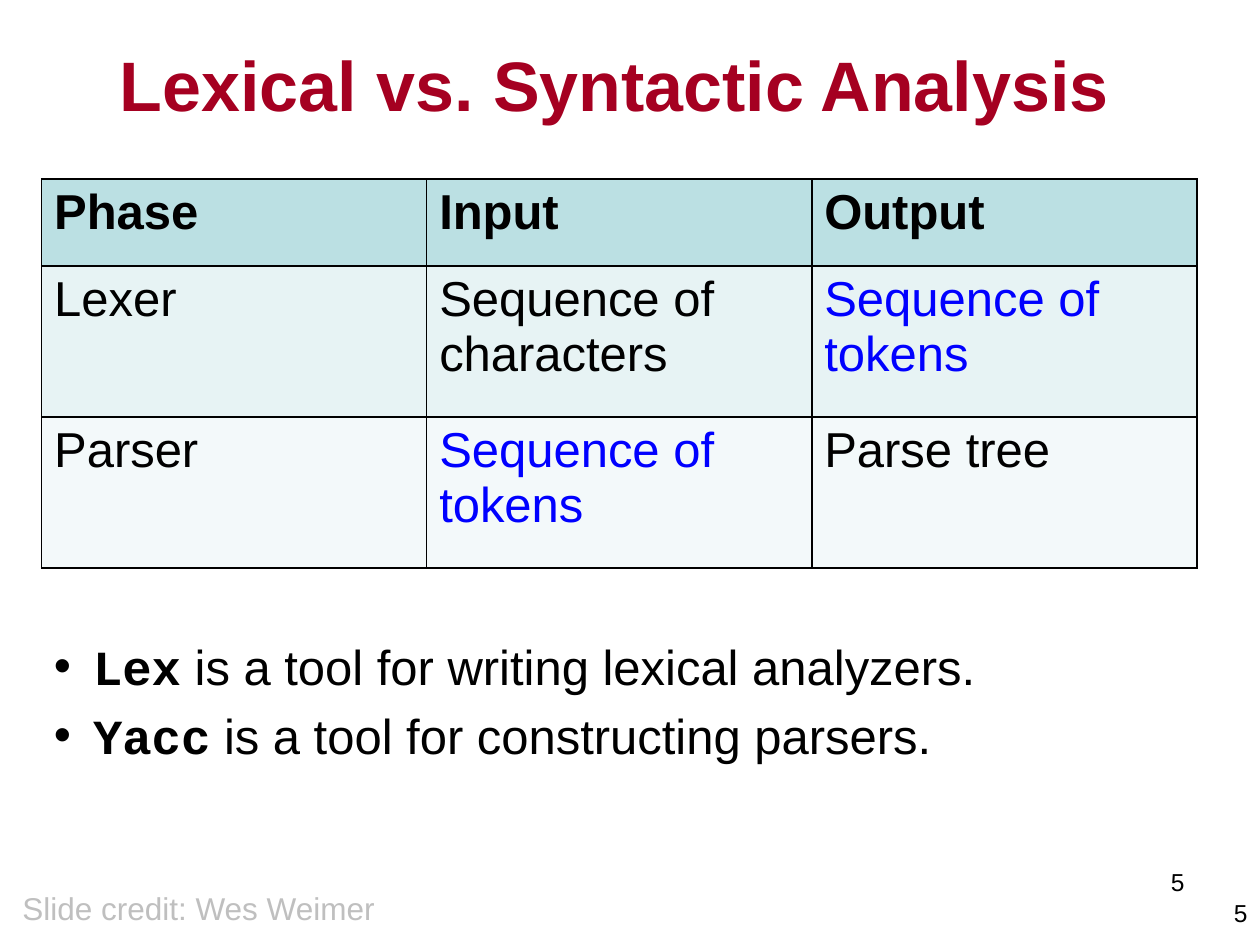
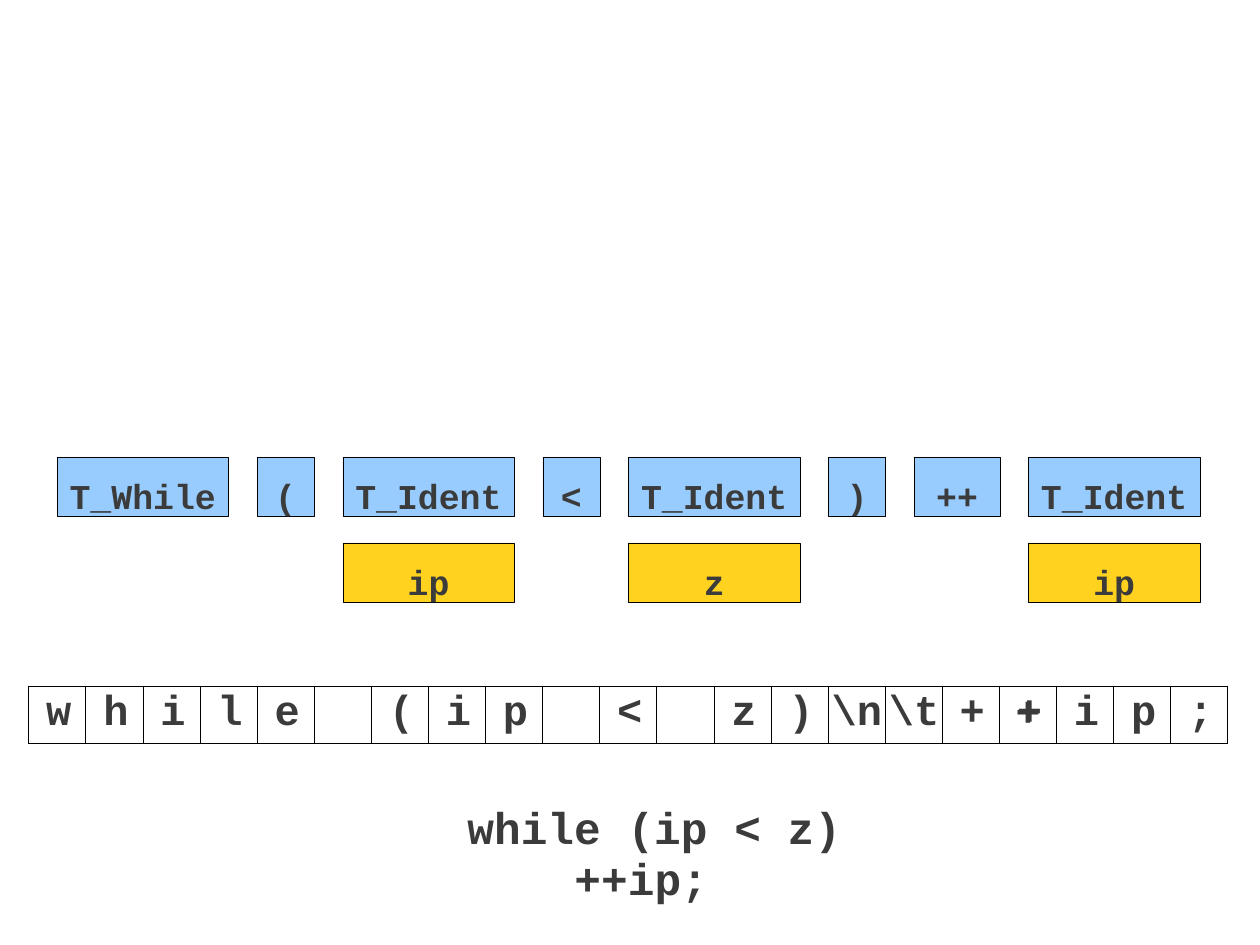
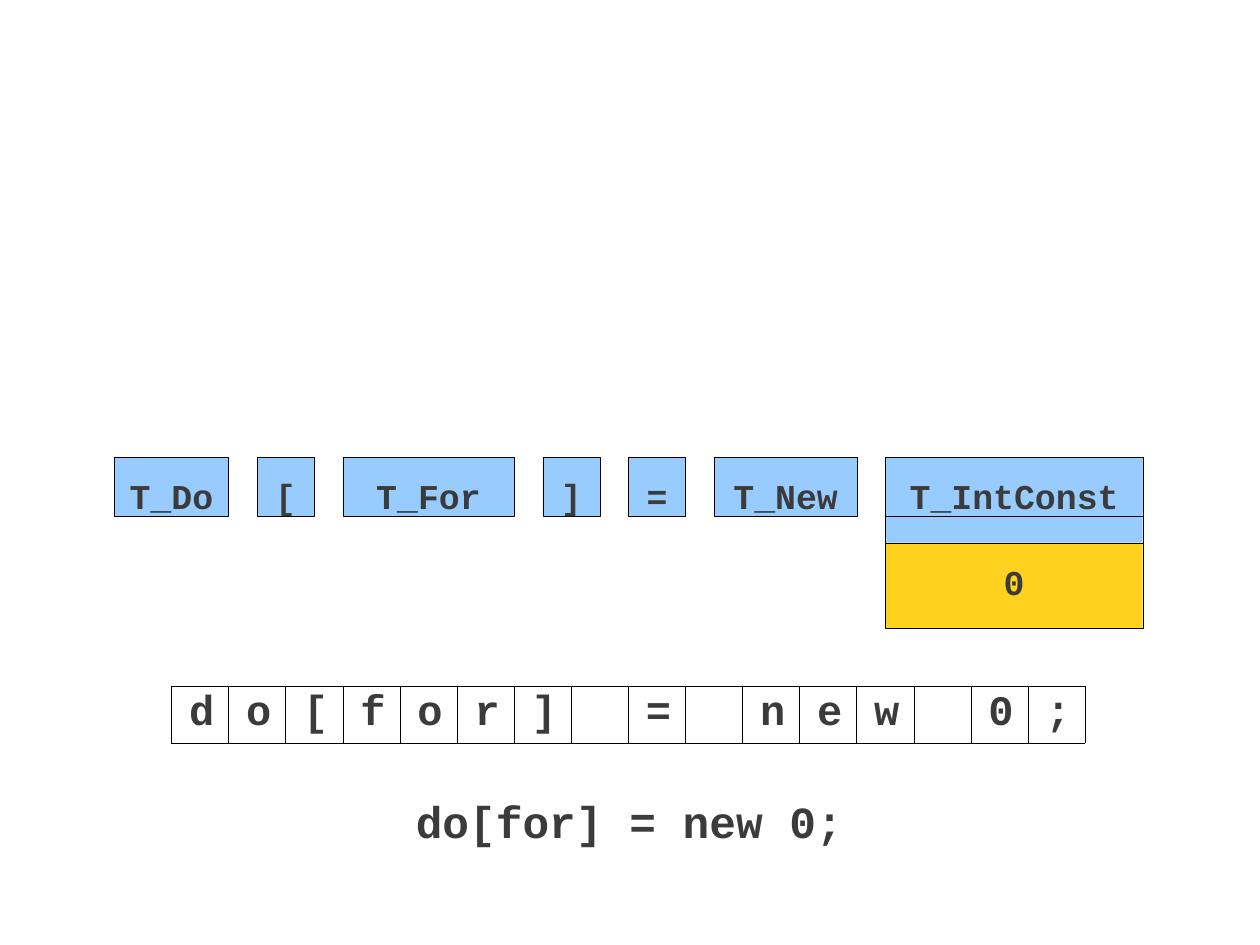
from dataclasses import dataclass

from lxml.etree import SubElement
from pptx import Presentation
from pptx.dml.color import RGBColor
from pptx.enum.shapes import MSO_SHAPE
from pptx.enum.text import MSO_ANCHOR, MSO_AUTO_SIZE, PP_ALIGN
from pptx.oxml.ns import qn
from pptx.util import Inches, Pt


@dataclass(frozen=True)
class Theme:
    sans: str = "Arial"
    mono: str = "Courier New"
    black: str = "000000"
    title: str = "A50021"
    link: str = "0000FF"
    credit: str = "BFBFBF"
    code: str = "3B3B3B"
    token: str = "98CCFF"
    lexeme: str = "FFD21F"
    rows: tuple = ("BBE0E3", "E7F3F4", "F3F9FA")
    title_size: float = 40
    body_size: float = 28
    credit_size: float = 18
    number_size: float = 14
    code_size: float = 25.4
    cell_size: float = 24
    overlay_size: float = 23.6
    token_size: float = 19.9
    thin: float = 0.25


# The scanner slides sit on a grid of square cells, 22 across
CELL = Inches(9.07) // 20
GRID_COLUMNS = 22
TOKEN_TOP = 8 * CELL
LEXEME_TOP = round(9.5 * CELL)
CHARS_TOP = 12 * CELL
TALL = round(1.5 * CELL)
BOX_HEIGHT = Inches(0.47)
ESCAPES = {"\n": r"\n", "\t": r"\t"}


def add_run(p, text, *, size, font, color, bold=False):
    r = p.add_run()
    r.text = text
    r.font.size = Pt(size)
    r.font.name = font
    r.font.bold = bold
    r.font.color.rgb = RGBColor.from_string(color)
    return r


def set_margins(frame, left=0, top=0, right=0, bottom=0):
    frame.margin_left, frame.margin_top = Inches(left), Inches(top)
    frame.margin_right, frame.margin_bottom = Inches(right), Inches(bottom)


def set_bullet(p, indent):
    pPr = p._p.get_or_add_pPr()
    pPr.set("marL", str(indent))
    pPr.set("indent", str(-indent))
    SubElement(pPr, qn("a:buFont"), typeface="Arial")
    SubElement(pPr, qn("a:buChar"), char="•")


def set_borders(cell, width, color):
    tcPr = cell._tc.get_or_add_tcPr()
    for i, side in enumerate(("a:lnL", "a:lnR", "a:lnT", "a:lnB")):
        ln = SubElement(tcPr, qn(side), w=str(Pt(width)))
        tcPr.insert(i, ln)
        fill = SubElement(ln, qn("a:solidFill"))
        SubElement(fill, qn("a:srgbClr"), val=color)


class Deck:
    def __init__(self, theme):
        self.theme = theme
        self.prs = Presentation()
        self.prs.slide_width, self.prs.slide_height = Inches(10), Inches(7.5)
        self.s = None

    def slide(self, title=None):
        t = self.theme
        self.s = self.prs.slides.add_slide(self.prs.slide_layouts[5 if title else 6])
        if title:
            sp = self.s.shapes.title
            sp.left, sp.top = Inches(0.25), Inches(0.25)
            sp.width, sp.height = Inches(9.25), Inches(0.64)
            tf = sp.text_frame
            tf.auto_size = MSO_AUTO_SIZE.NONE
            tf.vertical_anchor = MSO_ANCHOR.TOP
            set_margins(tf, top=0.08)
            p = tf.paragraphs[0]
            p.alignment = PP_ALIGN.CENTER
            add_run(p, title, size=t.title_size, font=t.sans, color=t.title, bold=True)

    def textbox(self, x, y, w, h, wrap=True):
        tf = self.s.shapes.add_textbox(x, y, w, h).text_frame
        tf.word_wrap = wrap
        return tf

    def text(self, x, y, w, h, text, *, align=PP_ALIGN.LEFT, wrap=True, **fmt):
        p = self.textbox(x, y, w, h, wrap).paragraphs[0]
        p.alignment = align
        add_run(p, text, **fmt)

    def bullets(self, x, y, w, h, items):
        t = self.theme
        tf = self.textbox(x, y, w, h, wrap=False)
        for i, (tool, rest) in enumerate(items):
            p = tf.add_paragraph() if i else tf.paragraphs[0]
            p.space_before = Pt(6 if i else 0)
            set_bullet(p, Inches(0.31))
            add_run(p, tool, size=t.body_size, font=t.mono, color=t.black, bold=True)
            add_run(p, rest, size=t.body_size, font=t.sans, color=t.black)

    def table(self, x, y, col_width, row_heights, n_cols):
        shape = self.s.shapes.add_table(len(row_heights), n_cols, x, y,
                                        col_width * n_cols, sum(row_heights))
        table = shape.table
        table.first_row = table.horz_banding = False
        for col in table.columns:
            col.width = col_width
        for row, height in zip(table.rows, row_heights):
            row.height = height
        return table

    def phase_table(self, rows):
        t = self.theme
        heights = [Inches(h) for h in (0.69, 1.2, 1.2)]
        table = self.table(Inches(0.33), Inches(1.42), Inches(9.17) // 3, heights, 3)
        for i, row in enumerate(rows):
            for j, text in enumerate(row):
                cell = table.cell(i, j)
                cell.fill.solid()
                cell.fill.fore_color.rgb = RGBColor.from_string(t.rows[i])
                set_borders(cell, 1, t.black)
                add_run(cell.text_frame.paragraphs[0], text, size=t.body_size,
                        font=t.sans, bold=i == 0,
                        color=t.link if text == "Sequence of tokens" else t.black)

    def characters(self, source):
        """One cell per source character, centred on the grid."""
        t = self.theme
        n = len(source)
        table = self.table((GRID_COLUMNS - n) * CELL // 2, CHARS_TOP, CELL, [CELL], n)
        for cell, char in zip(table.rows[0].cells, source):
            cell.fill.background()
            set_margins(cell, left=0.03 if char in ESCAPES else 0.14)
            set_borders(cell, t.thin, t.black)
            p = cell.text_frame.paragraphs[0]
            p.line_spacing = Pt(30.2)
            if char != " ":
                add_run(p, ESCAPES.get(char, char), size=t.cell_size, font=t.mono,
                        color=t.code, bold=True)

    def code(self, x, y, text, size, spacing):
        """One line of code, in a box wide enough to hold it unbroken."""
        t = self.theme
        tf = self.textbox(Inches(x), Inches(y), Inches(0.22) * len(text), Inches(0.39))
        set_margins(tf)
        p = tf.paragraphs[0]
        p.line_spacing = Pt(spacing)
        add_run(p, text, size=size, font=t.mono, color=t.code, bold=True)

    def box(self, x, y, w, h, fill, text=""):
        t = self.theme
        sp = self.s.shapes.add_shape(MSO_SHAPE.RECTANGLE, x, y, w, h)
        sp.shadow.inherit = False
        sp.fill.solid()
        sp.fill.fore_color.rgb = RGBColor.from_string(fill)
        sp.line.color.rgb = RGBColor.from_string(t.black)
        sp.line.width = Pt(t.thin)
        if text:
            tf = sp.text_frame
            set_margins(tf, top=0.14)
            tf.vertical_anchor = MSO_ANCHOR.TOP
            p = tf.paragraphs[0]
            p.alignment = PP_ALIGN.CENTER
            p.space_before = Pt(9.8)
            add_run(p, text, size=t.token_size, font=t.mono, color=t.code, bold=True)

    def tokens(self, start, tokens):
        """Lay out (name, width in cells, lexeme) half a cell apart."""
        t = self.theme
        for name, cells, lexeme in tokens:
            x, w = round(start * CELL), round(cells * CELL)
            tall = name == "T_IntConst"
            if tall:
                self.box(x, TOKEN_TOP, w, TALL, t.token)
            self.box(x, TOKEN_TOP, w, BOX_HEIGHT, t.token, name)
            if lexeme:
                self.box(x, LEXEME_TOP, w, TALL if tall else BOX_HEIGHT, t.lexeme, lexeme)
            start += cells + 0.5


def main():
    t = Theme()
    d = Deck(t)

    # Lexer and parser compared
    d.slide("Lexical vs. Syntactic Analysis")
    d.phase_table([
        ("Phase", "Input", "Output"),
        ("Lexer", "Sequence of characters", "Sequence of tokens"),
        ("Parser", "Sequence of tokens", "Parse tree"),
    ])
    d.bullets(Inches(0.33), Inches(5), Inches(7.79), Inches(1.13), [
        ("Lex", " is a tool for writing lexical analyzers."),
        ("Yacc", " is a tool for constructing parsers."),
    ])
    d.text(Inches(0.08), Inches(7.01), Inches(3.03), Inches(0.4),
           "Slide credit: Wes Weimer", wrap=False,
           size=t.credit_size, font=t.sans, color=t.credit)
    for x, y, h in ((7.17, 6.83, 0.52), (7.67, 7.08, 0.33)):
        d.text(Inches(x), Inches(y), Inches(2.33), Inches(h), "5", align=PP_ALIGN.RIGHT,
               size=t.number_size, font=t.sans, color=t.black)

    # Scanning a while loop
    d.slide()
    d.code(8.06, 5.49, "+", t.overlay_size, 24.4)
    d.characters("while (ip < z)\n\t++ip;")
    d.code(3.71, 6.4, "while (ip < z)", t.code_size, 27.1)
    d.code(4.56, 6.8, "++ip;", t.code_size, 27.1)
    d.tokens(1, [
        ("T_While", 3, ""), ("(", 1, ""), ("T_Ident", 3, "ip"), ("<", 1, ""),
        ("T_Ident", 3, "z"), (")", 1, ""), ("++", 1.5, ""), ("T_Ident", 3, "ip"),
    ])

    # Scanning text that will not parse
    d.slide()
    d.tokens(2, [
        ("T_Do", 2, ""), ("[", 1, ""), ("T_For", 3, ""), ("]", 1, ""),
        ("=", 1, ""), ("T_New", 2.5, ""), ("T_IntConst", 4.5, "0"),
    ])
    d.code(3.3, 6.35, "do[for] = new 0;", t.code_size, 27.1)
    d.characters("do[for] = new 0;")

    d.prs.save("out.pptx")


if __name__ == "__main__":
    main()
